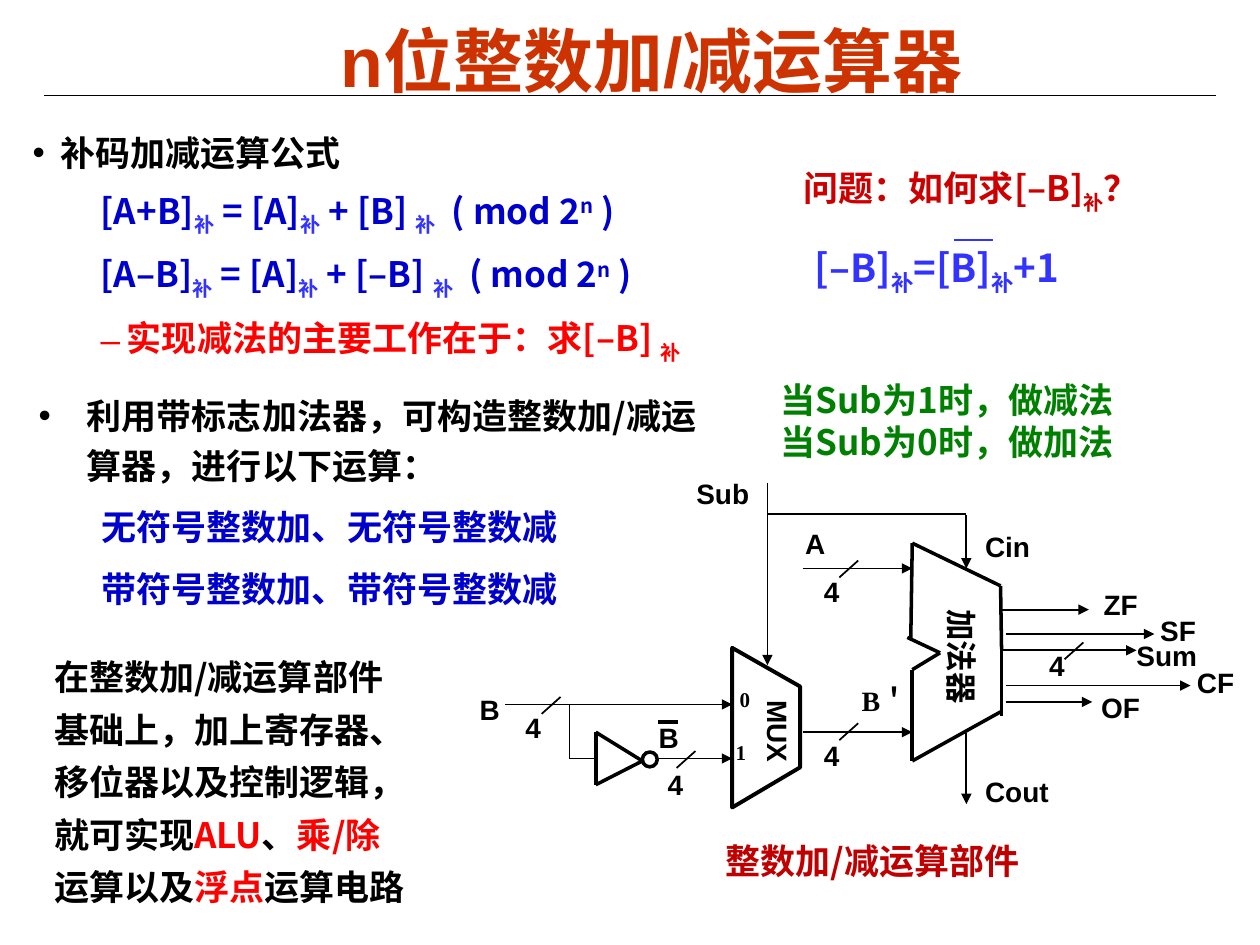
from itertools import pairwise
from lxml.etree import SubElement
from pptx import Presentation
from pptx.dml.color import RGBColor
from pptx.enum.shapes import MSO_CONNECTOR, MSO_SHAPE
from pptx.enum.text import MSO_ANCHOR, PP_ALIGN
from pptx.oxml.ns import qn
from pptx.util import Cm, Pt

SANS, ARIAL, TIMES = "Noto Sans CJK SC", "Arial", "Times New Roman"
BLACK, BLUE, LIGHT, RED = "000000", "0000CC", "3333FF", "FF0000"
SUB, SUPER = -25, 30


def color(code):
    return RGBColor.from_string(code)


def style(run, size, font, code, base=0):
    run.font.size, run.font.name, run.font.bold = Pt(size), font, True
    run.font.color.rgb = color(code)
    props = run._r.get_or_add_rPr()
    SubElement(props, qn("a:ea")).set("typeface", SANS)
    if base:
        props.set("baseline", str(base * 1000))


def text(slide, box, paras, size=20, font=SANS, code=BLACK, wrap=True,
         inset=(0.25, 0.13), turn=0):
    """Each paragraph is a string or a list of (text, colour, baseline)."""
    shape = slide.shapes.add_textbox(*map(Cm, box))
    shape.rotation = turn
    frame = shape.text_frame
    frame.word_wrap = wrap
    frame.margin_left = frame.margin_right = Cm(inset[0])
    frame.margin_top = frame.margin_bottom = Cm(inset[1])
    for n, spans in enumerate(paras):
        para = frame.add_paragraph() if n else frame.paragraphs[0]
        if isinstance(spans, str):
            spans = [(spans, code, 0)]
        for words, tint, base in spans:
            run = para.add_run()
            run.text = words
            style(run, size, font, tint, base)
    return frame


def space(para, lines, before=0):
    para.line_spacing, para.space_before = lines, Pt(before)


def indent(para, left, hang, mark=None, code=BLACK):
    props = para._p.get_or_add_pPr()
    props.set("marL", str(Cm(left)))
    props.set("indent", str(-Cm(hang)))
    if mark:
        tint = SubElement(props, qn("a:buClr"))
        SubElement(tint, qn("a:srgbClr")).set("val", code)
        SubElement(props, qn("a:buFont")).set("typeface", ARIAL)
        SubElement(props, qn("a:buChar")).set("char", mark)


def line(slide, start, end, width=1, code=BLACK, arrow=False):
    wire = slide.shapes.add_connector(
        MSO_CONNECTOR.STRAIGHT, *map(Cm, (*start, *end)))
    wire.line.width, wire.line.color.rgb = Pt(width), color(code)
    props = wire._element.spPr
    if arrow:
        SubElement(props.get_or_add_ln(), qn("a:tailEnd")).set("type", "triangle")
    SubElement(props, qn("a:effectLst"))


def chain(slide, points, width=2):
    for start, end in pairwise(points):
        line(slide, start, end, width)


def outline(shape, width):
    shape.shadow.inherit = False
    shape.fill.background()
    shape.line.width, shape.line.color.rgb = Pt(width), color(BLACK)


def label(slide, words, left, top, width, height=0.91, size=16, font=ARIAL):
    return text(slide, (left, top, width, height), [words], size, font, wrap=False)


def formula(left, right):
    return [(left, BLUE, 0), ("补", LIGHT, SUB), (" = [A]", BLUE, 0),
            ("补", LIGHT, SUB), (f" {right}", BLUE, 0), ("补", LIGHT, SUB),
            ("  ( mod 2", BLUE, 0), ("n", BLUE, SUPER), (" )", BLUE, 0)]


def notes(slide):
    # Title and rule
    line(slide, (0.89, 1.93), (24.51, 1.93), 0.75)
    title = text(slide, (2.95, 0.28, 20.37, 1.83), ["n位整数加/减运算器"],
                 40, ARIAL, "CC3300", inset=(0.18, 0.08))
    title.paragraphs[0].alignment = PP_ALIGN.CENTER

    # Formulas
    frame = text(slide, (0.48, 2.44, 16.43, 4.98), [
        "补码加减运算公式",
        formula("[A+B]", "+ [B] "),
        formula("[A–B]", "+ [–B] "),
        [("实现减法的主要工作在于：求[–B] ", RED, 0), ("补", RED, SUB)],
    ], inset=(0.18, 0.08))
    marks = ["•", None, None, "–"]
    for n, (para, mark) in enumerate(zip(frame.paragraphs, marks)):
        space(para, 1.15, 5)
        indent(para, *((1.9, 0.53) if n else (0.56, 0.56)), mark, RED if n else BLACK)

    # Uses of the adder
    frame = text(slide, (0.53, 7.65, 13.79, 7.16), [
        "利用带标志加法器，可构造整数加/减运算器，进行以下运算：",
        [("无符号整数加、无符号整数减", BLUE, 0)],
        [("带符号整数加、带符号整数减", BLUE, 0)],
    ])
    for n, para in enumerate(frame.paragraphs):
        space(para, 1.2, 6.2)
        indent(para, *((2.06, 0.79) if n else (0.97, 0.97)), None if n else "•")

    # Question, answer and control rule
    ask = "CC0000"
    text(slide, (15.95, 3.23, 7.98, 1.22),
         [[("问题：如何求[–B]", ask, 0), ("补", ask, SUB), ("？", ask, 0)]])
    text(slide, (16.18, 4.78, 6.6, 1.32),
         [[("[–B]", LIGHT, 0), ("补", LIGHT, SUB), ("=[B]", LIGHT, 0),
           ("补", LIGHT, SUB), ("+1", LIGHT, 0)]], 22)
    line(slide, (19.23, 4.84), (20.02, 4.84), 1.5, LIGHT)
    frame = text(slide, (15.49, 7.49, 7.92, 1.96),
                 ["当Sub为1时，做减法", "当Sub为0时，做加法"], code="008000")
    frame.vertical_anchor = MSO_ANCHOR.MIDDLE

    # Closing remark
    frame = text(slide, (0.84, 12.88, 7.77, 6.6), [[
        ("在整数加/减运算部件基础上，加上寄存器、移位器以及控制逻辑，就可实现", BLACK, 0),
        ("ALU", RED, 0), ("、", BLACK, 0), ("乘/除", RED, 0),
        ("运算以及", BLACK, 0), ("浮点", RED, 0), ("运算电路", BLACK, 0)]])
    space(frame.paragraphs[0], 1.25)


def circuit(slide):
    # Adder
    chain(slide, [(18.95, 13.16), (18.29, 12.85)])
    chain(slide, [(18.36, 12.88), (18.39, 10.95), (20.17, 11.81),
                  (20.19, 13.08), (20.19, 14.43)])
    chain(slide, [(20.17, 14.35), (18.39, 15.34), (18.39, 13.5), (18.95, 13.16)])
    text(slide, (18.03, 12.88, 2.72, 1.02), ["加法器"], 18, ARIAL, turn=90)

    # Inverter
    chain(slide, [(12.95, 15.34), (12.01, 14.76), (12.01, 15.82), (12.95, 15.34)])
    outline(slide.shapes.add_shape(
        MSO_SHAPE.OVAL, *map(Cm, (12.95, 15.16, 0.3, 0.3))), 2)

    # Multiplexer
    first, *rest = [(Cm(x), Cm(y)) for x, y in (
        (14.76, 16.28), (16.13, 15.47), (16.13, 13.84), (14.76, 13.06))]
    pen = slide.shapes.build_freeform(*first, scale=1.0)
    pen.add_line_segments(rest, close=True)
    outline(pen.convert_to_shape(), 2.25)
    text(slide, (14.66, 14.45, 2.08, 0.91), ["MUX"], 16, ARIAL, turn=90)

    # Arrows: level ones as (y, from, to), upright ones as (x, from, to)
    for y, start, end in [
            (11.46, 16.18, 18.39), (14.76, 16.18, 18.39), (14.2, 10.19, 14.76),
            (15.29, 13.28, 14.76), (12.29, 20.19, 21.95), (12.78, 20.27, 23.27),
            (13.11, 20.22, 22.91), (13.82, 20.27, 24), (14.15, 20.27, 22.02)]:
        line(slide, (start, y), (end, y), arrow=True)
    for x, start, end in [(19.48, 10.39, 11.46), (19.48, 14.78, 16.21),
                          (15.47, 9.73, 13.41)]:
        line(slide, (x, start), (x, end), arrow=True)

    # Plain wires, bus slashes and the bar over B
    line(slide, (15.47, 10.36), (19.48, 10.36))
    chain(slide, [(11.48, 14.22), (11.48, 15.29), (11.99, 15.29)], 1)
    for x, y in [(17.3, 11.3), (17.3, 14.58), (21.84, 12.95),
                 (11.3, 14.05), (14.02, 15.14)]:
        line(slide, (x, y), (x - 0.38, y + 0.34))
    line(slide, (13.26, 14.55), (13.67, 14.55), 2.25)

    # Signal names
    for words, left, top, width in [
            ("Sub", 13.79, 9.47, 1.7), ("A", 15.98, 10.49, 1),
            ("B", 9.42, 13.84, 1), ("B", 13.03, 14.4, 1),
            ("Cin", 19.61, 10.54, 1.6), ("Cout", 19.61, 15.49, 2.1),
            ("ZF", 22, 11.71, 1.4), ("SF", 23.14, 12.24, 1.5),
            ("Sum", 22.66, 12.75, 1.9), ("CF", 23.88, 13.28, 1.5),
            ("OF", 21.95, 13.79, 1.5)]:
        label(slide, words, left, top, width)
    text(slide, (17.12, 13.64, 1.73, 0.94), ["B＇"], 16, TIMES)

    # Bus widths and multiplexer inputs
    for left, top in [(16.36, 11.46), (16.36, 14.76), (10.34, 14.2), (13.21, 15.34)]:
        label(slide, "4", left, top, 0.85)
    space(label(slide, "4", 20.9, 13.11, 0.85, 0.76).paragraphs[0], 0.75)
    label(slide, "0", 14.66, 13.72, 0.75, 0.76, 12, TIMES)
    label(slide, "1", 14.58, 14.78, 0.75, 0.76, 12, TIMES)

    # Caption
    text(slide, (14.38, 16.79, 6.63, 1.96), ["整数加/减运算部件"], code="C00000")


def main():
    deck = Presentation()
    deck.slide_width, deck.slide_height = Cm(25.4), Cm(19.05)
    slide = deck.slides.add_slide(deck.slide_layouts[6])
    notes(slide)
    circuit(slide)
    deck.save("out.pptx")


if __name__ == "__main__":
    main()
